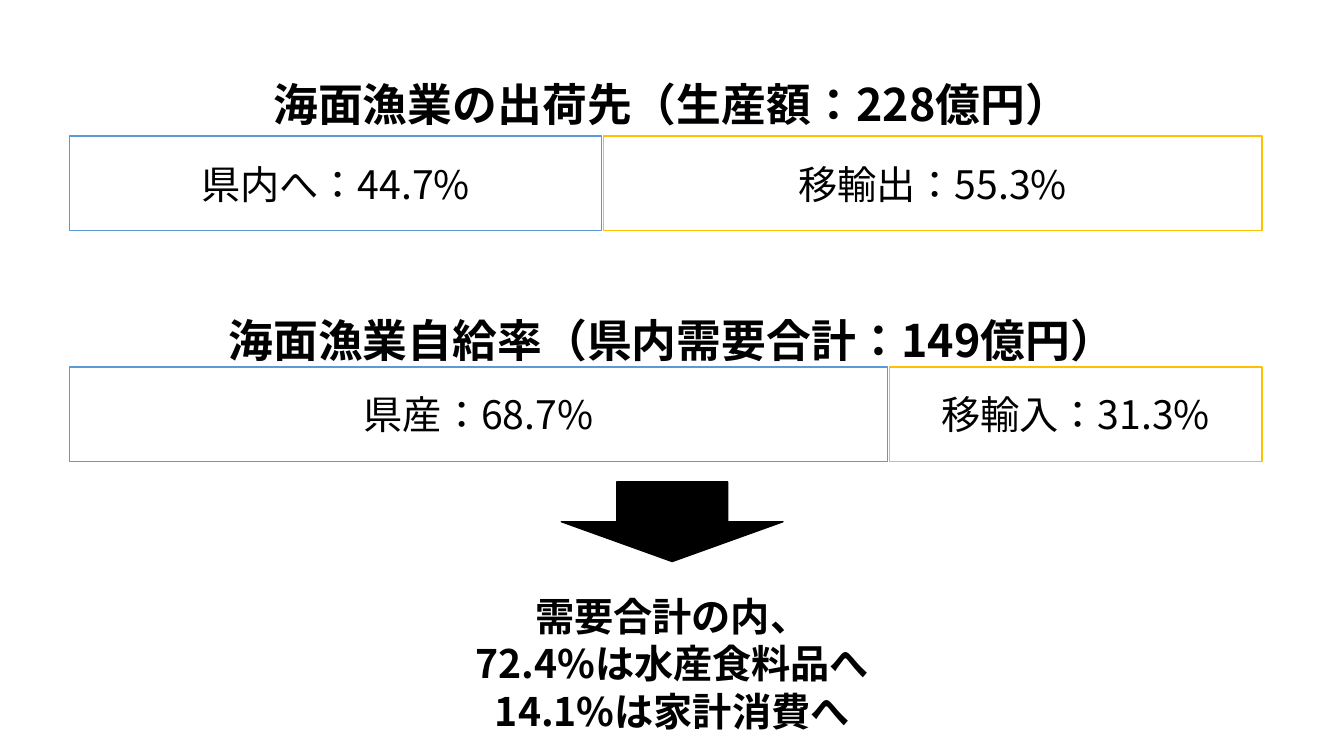
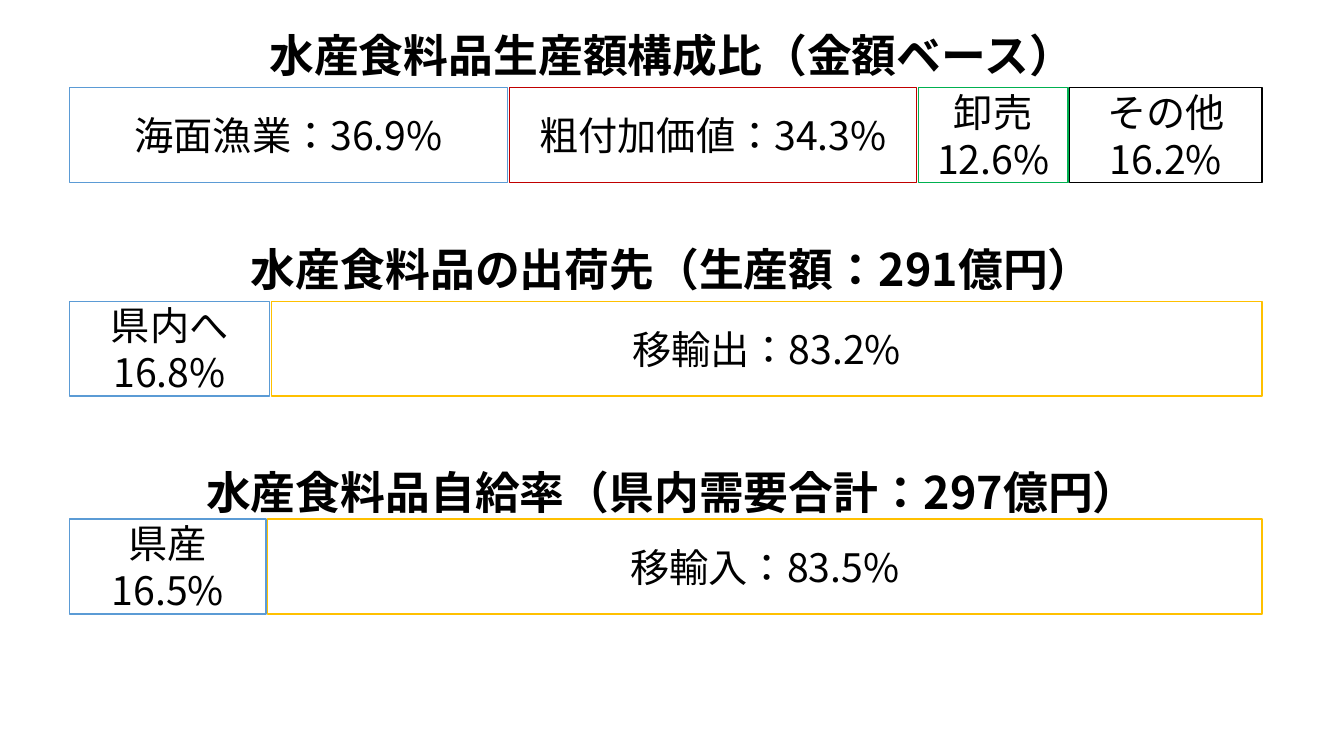
from dataclasses import dataclass

import pptx
import pptx.dml.color
import pptx.enum.lang
import pptx.enum.shapes
import pptx.enum.text
import pptx.oxml
import pptx.oxml.ns
import pptx.util

Pt = pptx.util.Pt
SHAPES = pptx.enum.shapes.MSO_SHAPE
TEXT = pptx.enum.text


@dataclass(frozen=True)
class Theme:
    font: str = "Noto Sans CJK JP"
    heading_size: float = 32
    label_size: float = 28
    ink: str = "000000"
    paper: str = "FFFFFF"
    local: str = "5B9BD5"
    outside: str = "FFC000"
    added_value: str = "C00000"
    wholesale: str = "00B050"
    outline: float = 1


THEME = Theme()
SLIDE_WIDTH, SLIDE_HEIGHT = 960, 540
BAR_LEFT, BAR_WIDTH, BAR_HEIGHT, BAR_GAP = 49.7, 851.7, 67.7, 1.2
HEADING_HEIGHT = 46.1
SHORT_HEADING, LONG_HEADING = 741.6, 790.6

# Heading, heading top, heading width, bar top, segments (label, percent, colour)
FISHERY_BARS = [
    ("海面漁業の出荷先（生産額：228億円）", 51.1, SHORT_HEADING, 97.2, [
        ("県内へ：44.7%", 44.7, THEME.local),
        ("移輸出：55.3%", 55.3, THEME.outside)]),
    ("海面漁業自給率（県内需要合計：149億円）", 219.6, LONG_HEADING, 262.1, [
        ("県産：68.7%", 68.7, THEME.local),
        ("移輸入：31.3%", 31.3, THEME.outside)]),
]
SEAFOOD_BARS = [
    ("水産食料品生産額構成比（金額ベース）", 16.6, SHORT_HEADING, 62.7, [
        ("海面漁業：36.9%", 36.9, THEME.local),
        ("粗付加価値：34.3%", 34.3, THEME.added_value),
        ("卸売12.6%", 12.6, THEME.wholesale),
        ("その他16.2%", 16.2, THEME.ink)]),
    ("水産食料品の出荷先（生産額：291億円）", 169.2, SHORT_HEADING, 215.3, [
        ("県内へ16.8%", 16.8, THEME.local),
        ("移輸出：83.2%", 83.2, THEME.outside)]),
    ("水産食料品自給率（県内需要合計：297億円）", 328.3, LONG_HEADING, 370.8, [
        ("県産\n16.5%", 16.5, THEME.local),
        ("移輸入：83.5%", 83.5, THEME.outside)]),
]
DEMAND_NOTE = "需要合計の内、\n72.4%は水産食料品へ\n14.1%は家計消費へ"


def rgb(colour):
    return pptx.dml.color.RGBColor.from_string(colour)


def write(frame, text, *, size, bold=False, anchor=TEXT.MSO_ANCHOR.TOP):
    """Fill the frame with centred paragraphs, one for each line of text."""
    frame.word_wrap = True
    frame.vertical_anchor = anchor
    for index, line in enumerate(text.split("\n")):
        paragraph = frame.add_paragraph() if index else frame.paragraphs[0]
        paragraph.alignment = TEXT.PP_ALIGN.CENTER
        run = paragraph.add_run()
        run.text = line
        font = run.font
        font.size, font.bold, font.name = Pt(size), bold, THEME.font
        font.color.rgb = rgb(THEME.ink)
        font.language_id = pptx.enum.lang.MSO_LANGUAGE_ID.JAPANESE
        east_asian = pptx.oxml.parse_xml(
            f'<a:ea {pptx.oxml.ns.nsdecls("a")} typeface="{THEME.font}"/>')
        run.font.fill  # the fill precedes the typefaces in run properties
        run._r.get_or_add_rPr().find(
            pptx.oxml.ns.qn("a:latin")).addnext(east_asian)


def add_bold_text(slide, text, left, top, width, height, size):
    box = slide.shapes.add_textbox(Pt(left), Pt(top), Pt(width), Pt(height))
    write(box.text_frame, text, size=size, bold=True)
    box.text_frame.auto_size = TEXT.MSO_AUTO_SIZE.SHAPE_TO_FIT_TEXT


def add_outlined(slide, kind, left, top, width, height, fill, line):
    shape = slide.shapes.add_shape(kind, Pt(left), Pt(top), Pt(width), Pt(height))
    shape.shadow.inherit = False
    shape.fill.solid()
    shape.fill.fore_color.rgb = rgb(fill)
    shape.line.color.rgb = rgb(line)
    shape.line.width = Pt(THEME.outline)
    return shape


def add_share_bar(slide, segments, left, top, width, height):
    """Divide the box among the segments in proportion to their percentages."""
    usable = width - BAR_GAP * (len(segments) - 1)
    total = sum(percent for _, percent, _ in segments)
    for label, percent, colour in segments:
        share = usable * percent / total
        segment = add_outlined(slide, SHAPES.RECTANGLE, left, top, share, height,
                               THEME.paper, colour)
        write(segment.text_frame, label, size=THEME.label_size,
              anchor=TEXT.MSO_ANCHOR.MIDDLE)
        left += share + BAR_GAP


def add_bar_slide(deck, bars):
    slide = deck.slides.add_slide(deck.slide_layouts[6])
    for heading, heading_top, heading_width, bar_top, segments in bars:
        add_share_bar(slide, segments, BAR_LEFT, bar_top, BAR_WIDTH, BAR_HEIGHT)
        add_bold_text(slide, heading, (SLIDE_WIDTH - heading_width) / 2,
                      heading_top, heading_width, HEADING_HEIGHT,
                      THEME.heading_size)
    return slide


def add_demand_conclusion(slide, left, top, width):
    """Place the down arrow and, below it, the use of total demand."""
    arrow_width = 158.4
    add_outlined(slide, SHAPES.DOWN_ARROW, left + (width - arrow_width) / 2, top,
                 arrow_width, 56.9, THEME.ink, THEME.ink)
    add_bold_text(slide, DEMAND_NOTE, left, top + 75.6, width, 108.7,
                  THEME.label_size)


def main():
    deck = pptx.Presentation()
    deck.slide_width, deck.slide_height = Pt(SLIDE_WIDTH), Pt(SLIDE_HEIGHT)
    fishery = add_bar_slide(deck, FISHERY_BARS)
    add_demand_conclusion(fishery, 285.4, 344.2, 389.5)
    add_bar_slide(deck, SEAFOOD_BARS)
    deck.save("out.pptx")


if __name__ == "__main__":
    main()
